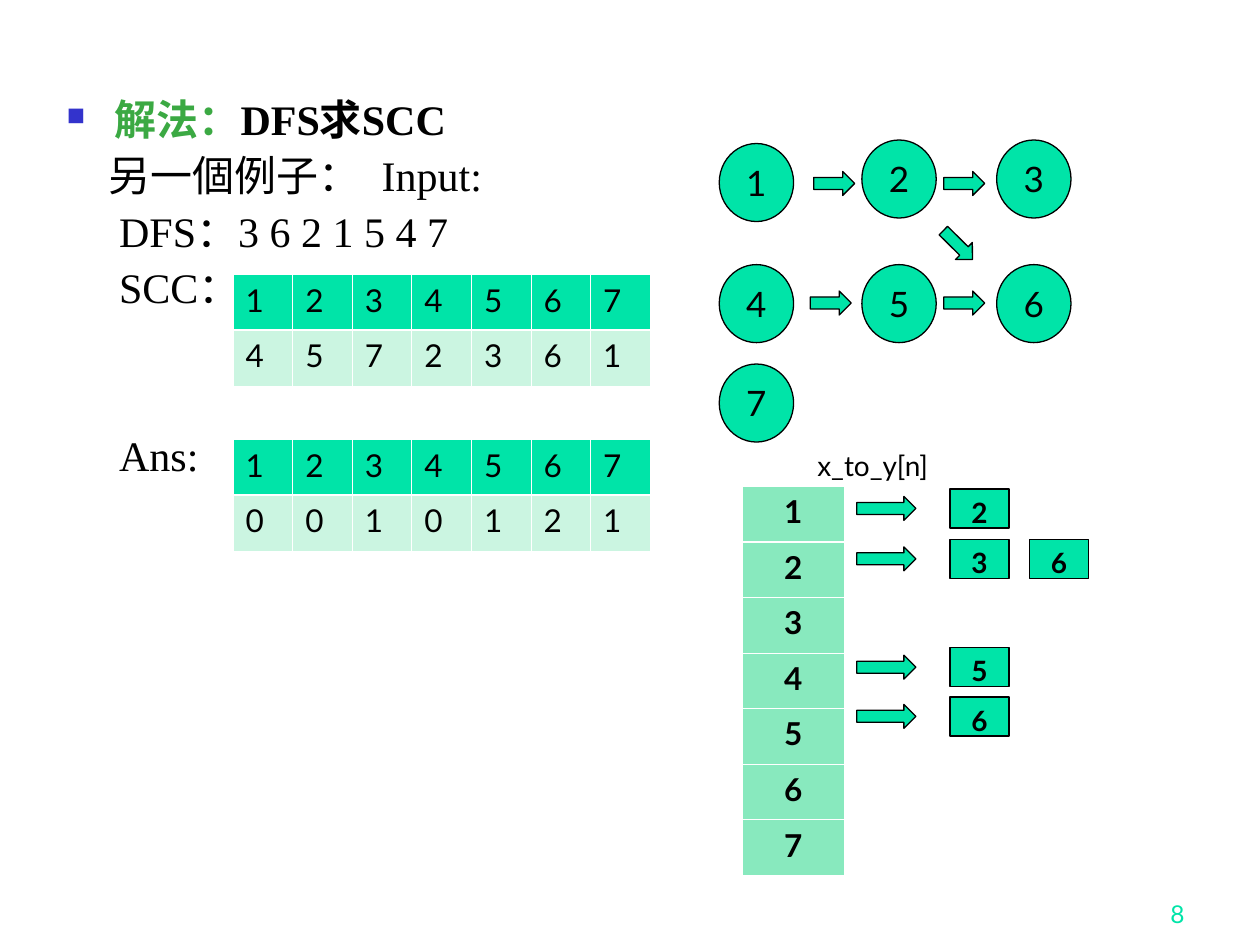
import pptx
import pptx.util
import pptx.dml.color
import pptx.enum.shapes
import pptx.enum.text
import pptx.oxml
import pptx.oxml.ns
import lxml.etree

Pt = pptx.util.Pt
KIND = pptx.enum.shapes.MSO_SHAPE
ALIGN = pptx.enum.text.PP_ALIGN
ANCHOR = pptx.enum.text.MSO_ANCHOR
HUES = {"main": "00E4A8", "mid": "88E9BE", "pale": "CBF5E1", "ink": "000000",
        "head": "3BA943", "mark": "3333CC", "white": "FFFFFF"}


def hue(name):
    return pptx.dml.color.RGBColor.from_string(HUES[name])


def node(parent, tag, **attrs):
    item = lxml.etree.SubElement(parent, pptx.oxml.ns.qn(tag))
    for key, value in attrs.items():
        item.set(key, str(value))
    return item


def style(font, size, color="ink", name="Lato", bold=False):
    font.size, font.name, font.bold = Pt(size), name, bold
    font.color.rgb = hue(color)


def shape(parent, kind, x, y, w, h, fill="main", line="ink"):
    item = parent.add_shape(kind, Pt(x), Pt(y), Pt(w), Pt(h))
    item.shadow.inherit = False
    item.fill.solid()
    item.fill.fore_color.rgb = hue(fill)
    item.line.color.rgb = hue(line)
    item.line.width = Pt(0.75)
    return item


def label(item, text, size, align=ALIGN.CENTER, bold=False):
    frame = item.text_frame
    frame.word_wrap = False
    frame.vertical_anchor = ANCHOR.TOP
    para = frame.paragraphs[0]
    para.text, para.alignment = text, align
    style(para.font, size, bold=bold)


def arrow(parent, x, y, w, turn=0):
    item = shape(parent, KIND.RIGHT_ARROW, x, y, w, 13.7)
    item.rotation = turn


def border(cell, thick):
    """Draw white cell edges; sides named in thick are heavier."""
    props = cell._tc.get_or_add_tcPr()
    for side in "LRTB":
        width = 1.47 if side in thick else 0.45
        edge = node(props, "a:ln" + side, w=int(Pt(width)))
        node(node(edge, "a:solidFill"), "a:srgbClr", val=HUES["white"])


def table(slide, x, y, wide, rows, fills, align=None, bold=False):
    tall = 31.75
    count = len(rows[0])
    grid = slide.shapes.add_table(len(rows), count, Pt(x), Pt(y),
                                  Pt(wide * count), Pt(tall * len(rows))).table
    for col in grid.columns:
        col.width = Pt(wide)
    for i, row in enumerate(rows):
        grid.rows[i].height = Pt(tall)
        for j, text in enumerate(row):
            cell = grid.cell(i, j)
            border(cell, {0: "B", 1: "T"}.get(i, ""))
            cell.fill.solid()
            cell.fill.fore_color.rgb = hue(fills[i])
            para = cell.text_frame.paragraphs[0]
            para.text, para.alignment = text, align
            style(para.font, 18, bold=bold)


def line(para, indent, before=6, margin=0):
    para.line_spacing = 0.9
    para.space_before = Pt(before)
    props = para._p.get_or_add_pPr()
    props.set("marL", str(int(Pt(margin))))
    props.set("indent", str(int(Pt(indent))))
    return props


def body(slide):
    frame = slide.shapes.add_textbox(Pt(31), Pt(53.3), Pt(635.8), Pt(442.8)).text_frame
    frame.word_wrap = True

    # Bulleted heading in two colours
    para = frame.paragraphs[0]
    props = line(para, -27.4, 0, 27.4)
    node(node(props, "a:buClr"), "a:srgbClr", val=HUES["mark"])
    node(props, "a:buSzPct", val=60000)
    node(props, "a:buChar", char="■")
    for text, color in (("解法：", "head"), ("DFS求SCC", "ink")):
        run = para.add_run()
        run.text = text
        style(run.font, 24, color, "Times New Roman", True)

    # Plain lines: text, indent, space before
    for text, indent, before in (("另一個例子：\tInput:", 24, 6),
                                 ("DFS：3 6 2 1 5 4 7", 30, 6),
                                 ("SCC：", 30, 6), ("Ans:", 30, 70)):
        para = frame.add_paragraph()
        para.text = text
        props = line(para, indent, before)
        if "\t" in text:
            node(node(props, "a:tabLst"), "a:tab", pos=int(Pt(272.5)), algn="l")
        style(para.font, 24, name="Times New Roman")


def graph(slide):
    parent = slide.shapes.add_group_shape().shapes
    cols = (411, 492.5, 569.5)
    spots = [(cols[0], 82), (cols[1], 80), (cols[2], 80)]
    spots += [(x, 151.2) for x in cols] + [(cols[0], 208)]
    for num, (x, y) in enumerate(spots, 1):
        label(shape(parent, KIND.OVAL, x, y, 42.5, 44.6), str(num), 20)
    for x, y, turn in ((535.7, 133.2, 44.8), (539.3, 166.3, 0), (539.3, 98, 0),
                       (465, 98, 0), (463, 166.3, 0)):
        arrow(parent, x, y, 23.4, turn)


def links(slide):
    parent = slide.shapes.add_group_shape().shapes
    for y, ends in ((279.4, "2"), (308.2, "36"), (370.1, "5"), (398.2, "6")):
        arrow(parent, 489.6, y + 4.3, 33.8)
        for i, end in enumerate(ends):
            box = shape(parent, KIND.RECTANGLE, 542.9 + 45.4 * i, y, 33.8, 22.3)
            label(box, end, 16, bold=True)


def number(slide):
    frame = slide.shapes.add_textbox(Pt(534.2), Pt(498.2), Pt(149.8), Pt(36)).text_frame
    frame.word_wrap = True
    frame.vertical_anchor = ANCHOR.BOTTOM
    para = frame.paragraphs[0]
    para.text, para.alignment = "8", ALIGN.RIGHT
    style(para.font, 14, "main")


def main():
    deck = pptx.Presentation()
    deck.slide_width, deck.slide_height = Pt(720), Pt(540)
    slide = deck.slides.add_slide(deck.slide_layouts[6])

    # Caption of the adjacency list
    box = shape(slide.shapes, KIND.RECTANGLE, 460, 252.7, 112.3, 33.1, "white", "white")
    label(box, "x_to_y[n]", 16, ALIGN.LEFT)

    number(slide)
    body(slide)
    graph(slide)

    # Component tables
    nodes = "1234567"
    for y, values in ((157, "4572361"), (251.3, "0010121")):
        table(slide, 133.2, y, 34.05, [nodes, values], ("main", "pale"))

    # Adjacency list
    table(slide, 424.1, 277.9, 58.3, list(nodes), ["mid"] * 7, ALIGN.CENTER, True)
    links(slide)
    deck.save("out.pptx")


if __name__ == "__main__":
    main()
